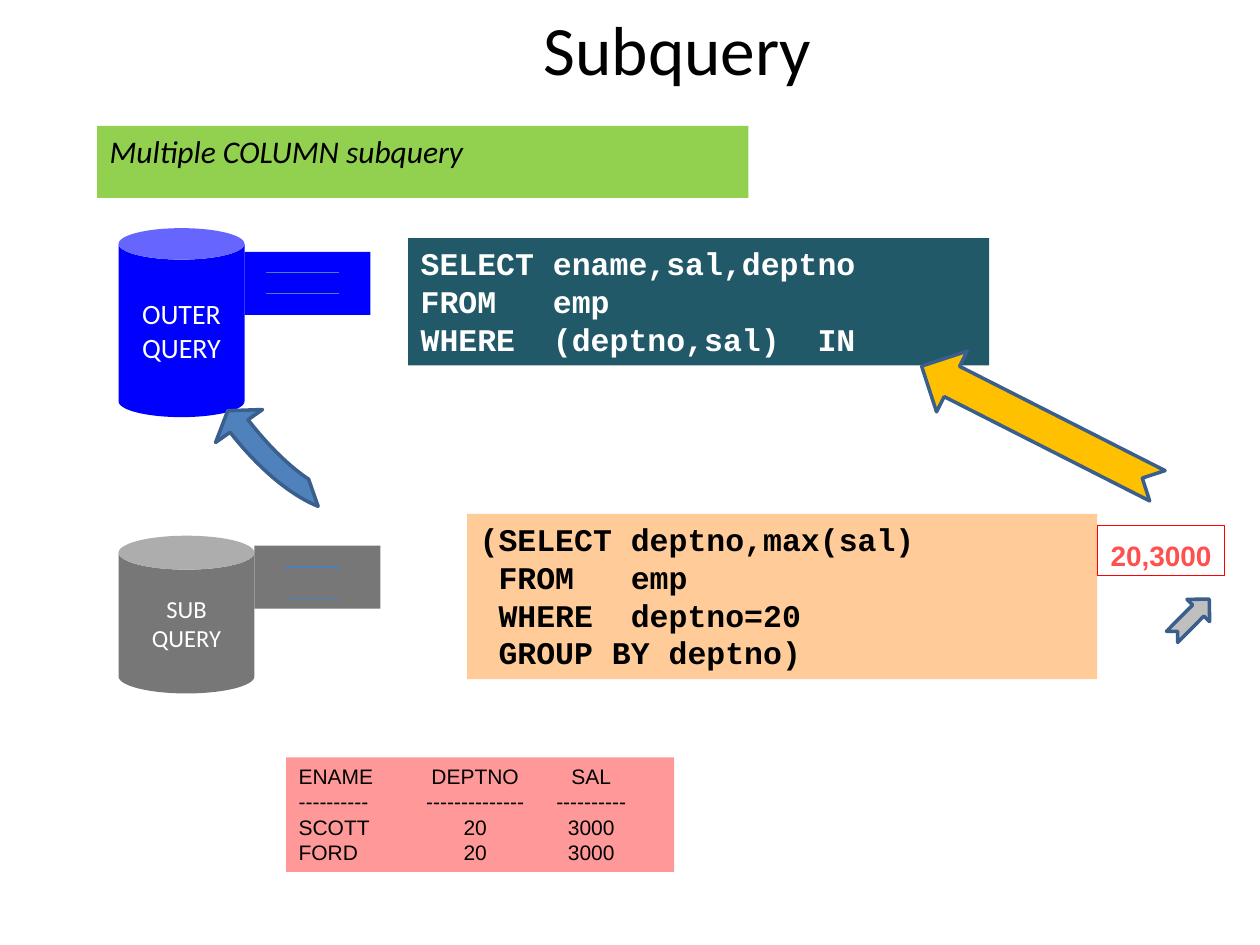
import pptx
import pptx.dml.color
import pptx.enum.shapes
import pptx.enum.text
import pptx.oxml.ns
import pptx.util
from lxml import etree

Cm = pptx.util.Cm
Pt = pptx.util.Pt
RGBColor = pptx.dml.color.RGBColor
Shape = pptx.enum.shapes.MSO_SHAPE
Align = pptx.enum.text.PP_ALIGN
Anchor = pptx.enum.text.MSO_ANCHOR

BLACK = RGBColor(0x00, 0x00, 0x00)
WHITE = RGBColor(0xFF, 0xFF, 0xFF)
OUTER_BLUE = RGBColor(0x00, 0x00, 0xFF)
SUB_GRAY = RGBColor(0x77, 0x77, 0x77)
DETAIL_BLUE = RGBColor(0x4B, 0x7E, 0xBC)
ARROW_BLUE = RGBColor(0x4F, 0x81, 0xBD)
ARROW_BORDER = RGBColor(0x3A, 0x5F, 0x8C)
ARROW_GRAY = RGBColor(0xBF, 0xBF, 0xBF)
ARROW_GOLD = RGBColor(0xFF, 0xC0, 0x00)
TEAL = RGBColor(0x21, 0x59, 0x68)
PEACH = RGBColor(0xFF, 0xCC, 0x99)
PINK = RGBColor(0xFF, 0x99, 0x99)
GREEN = RGBColor(0x92, 0xD0, 0x50)
RED = RGBColor(0xFF, 0x00, 0x00)
VALUE_RED = RGBColor(0xFF, 0x50, 0x50)

OUTER_CODE = ["SELECT ename,sal,deptno", "FROM   emp", "WHERE  (deptno,sal)  IN"]
SUB_CODE = [
    "(SELECT deptno,max(sal)",
    " FROM   emp",
    " WHERE  deptno=20",
    " GROUP BY deptno)",
]
RESULT_ROWS = [
    ("ENAME", "DEPTNO", "SAL"),
    ("-" * 10, "-" * 14, "-" * 10),
    ("SCOTT", "20", "3000"),
    ("FORD", "20", "3000"),
]
RESULT_TABS = (Cm(3.56), Cm(5.9))


def add_shape(slide, kind, box, fill=None, border=None, border_width=0.75):
    shape = slide.shapes.add_shape(kind, *(Cm(length) for length in box))
    shape.shadow.inherit = False
    if fill is None:
        shape.fill.background()
    else:
        shape.fill.solid()
        shape.fill.fore_color.rgb = fill
    if border is None:
        shape.line.fill.background()
    else:
        shape.line.color.rgb = border
        shape.line.width = Pt(border_width)
    return shape


def add_center_tabs(paragraph, positions):
    properties = paragraph._p.get_or_add_pPr()
    tab_list = etree.SubElement(properties, pptx.oxml.ns.qn("a:tabLst"))
    for position in positions:
        tab = etree.SubElement(tab_list, pptx.oxml.ns.qn("a:tab"))
        tab.set("pos", str(int(position)))
        tab.set("algn", "ctr")


def write_lines(shape, lines, font, size, color, align=Align.LEFT, anchor=Anchor.TOP,
                bold=False, italic=False, wrap=True, spacing=None, tabs=()):
    frame = shape.text_frame
    frame.word_wrap = wrap
    frame.vertical_anchor = anchor
    for index, line in enumerate(lines):
        paragraph = frame.paragraphs[0] if index == 0 else frame.add_paragraph()
        paragraph.alignment = align
        if spacing:
            paragraph.line_spacing = spacing
        if tabs:
            add_center_tabs(paragraph, tabs)
        run = paragraph.add_run()
        run.text = line
        run.font.name = font
        run.font.size = Pt(size)
        run.font.color.rgb = color
        run.font.bold = bold
        run.font.italic = italic


def add_code(slide, box, fill, color, lines):
    shape = add_shape(slide, Shape.RECTANGLE, box, fill)
    write_lines(shape, lines, "Courier New", 18, color, bold=True)


def add_query_store(slide, can_box, tab_box, fill, label, size):
    can = add_shape(slide, Shape.CAN, can_box, fill)
    write_lines(can, [label], "Calibri", size, WHITE, Align.CENTER, Anchor.MIDDLE)
    add_shape(slide, Shape.RECTANGLE, tab_box, fill)


def add_detail_lines(slide, left, right, heights):
    for height in heights:
        line = slide.shapes.add_connector(
            pptx.enum.shapes.MSO_CONNECTOR.STRAIGHT,
            Cm(left), Cm(height), Cm(right), Cm(height))
        line.line.color.rgb = DETAIL_BLUE
        line.line.width = Pt(0.75)
        etree.SubElement(line._element.spPr, pptx.oxml.ns.qn("a:effectLst"))


def add_arrow(slide, kind, box, rotation, fill):
    arrow = add_shape(slide, kind, box, fill, ARROW_BORDER, 2)
    arrow.rotation = rotation
    return arrow


def add_curved_arrow(slide):
    arrow = add_arrow(slide, Shape.CIRCULAR_ARROW, (3.81, 4.14, 3.4, 6.99), 145, ARROW_BLUE)
    for index, value in enumerate((0.13, 11.42, 204.58, 171.4, 0.17)):
        arrow.adjustments[index] = value


def main():
    presentation = pptx.Presentation()
    presentation.slide_width = Cm(25.4)
    presentation.slide_height = Cm(19.05)
    slide = presentation.slides.add_slide(presentation.slide_layouts[6])

    title = add_shape(slide, Shape.RECTANGLE, (3.89, 0, 19.53, 2.11), WHITE)
    write_lines(title, ["Subquery"], "Calibri", 39.6, BLACK, Align.CENTER)

    add_query_store(slide, (2.39, 4.6, 2.54, 3.81), (4.93, 5.08, 2.54, 1.27),
                    OUTER_BLUE, "OUTER QUERY", 16)
    add_detail_lines(slide, 5.36, 6.83, (5.5, 5.92))
    add_query_store(slide, (2.39, 10.8, 2.74, 3.18), (5.13, 11, 2.54, 1.27),
                    SUB_GRAY, "SUB QUERY", 14)
    add_detail_lines(slide, 5.77, 6.83, (11.43, 12.07))
    add_curved_arrow(slide)

    add_code(slide, (9.42, 10.36, 12.7, 3.33), PEACH, BLACK, SUB_CODE)
    add_code(slide, (8.23, 4.8, 11.71, 2.57), TEAL, WHITE, OUTER_CODE)

    value = add_shape(slide, Shape.RECTANGLE, (22.12, 10.59, 2.57, 1.02), border=RED)
    write_lines(value, ["20,3000"], "Arial", 16, VALUE_RED, Align.CENTER,
                bold=True, wrap=False, spacing=1.2)
    add_arrow(slide, Shape.NOTCHED_RIGHT_ARROW, (23.47, 12.14, 1.07, 0.64), 314.7, ARROW_GRAY)
    add_arrow(slide, Shape.NOTCHED_RIGHT_ARROW, (18.29, 7.9, 5.33, 1.37), 206.9, ARROW_GOLD)

    result = add_shape(slide, Shape.RECTANGLE, (5.77, 15.27, 7.82, 2.31), PINK)
    write_lines(result, ["\t".join(row) for row in RESULT_ROWS], "Arial", 12, BLACK,
                tabs=RESULT_TABS)

    heading = add_shape(slide, Shape.RECTANGLE, (1.96, 2.54, 13.13, 1.45), GREEN)
    write_lines(heading, ["Multiple COLUMN subquery"], "Calibri", 18, BLACK, italic=True)

    presentation.save("out.pptx")


if __name__ == "__main__":
    main()
